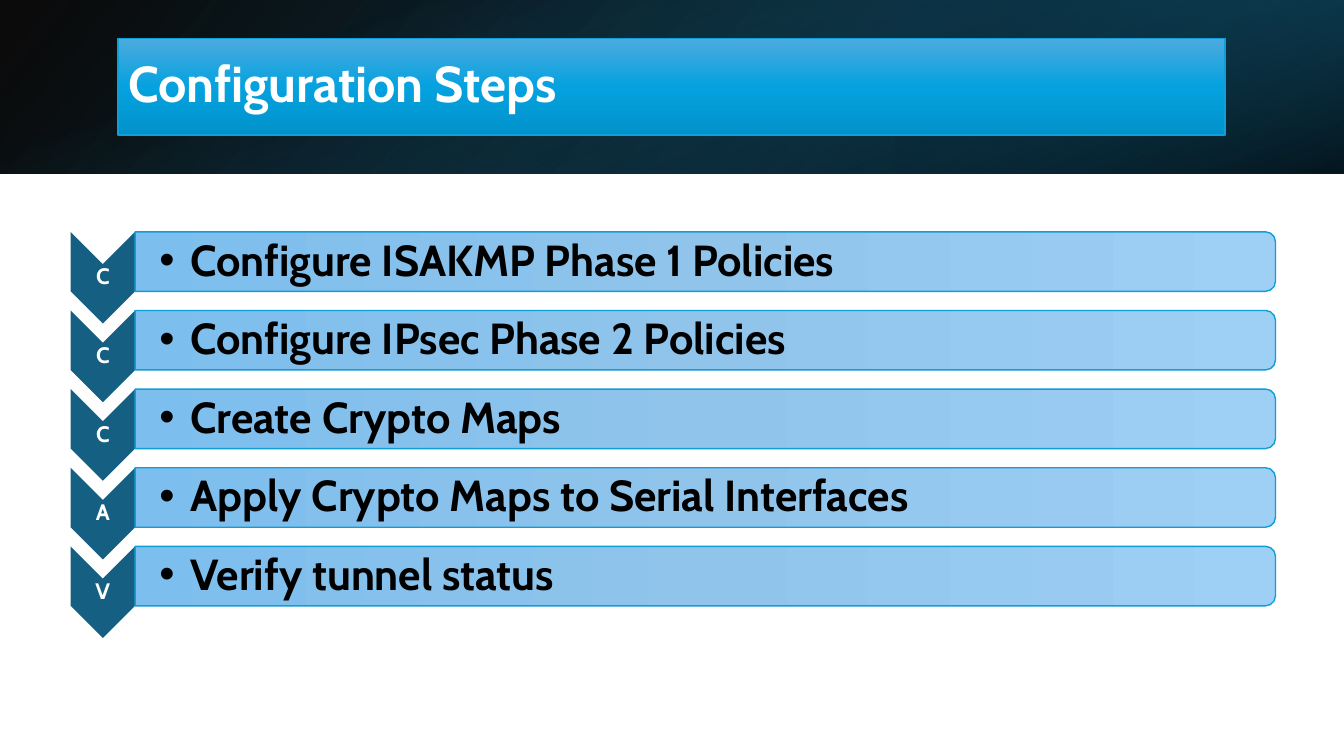
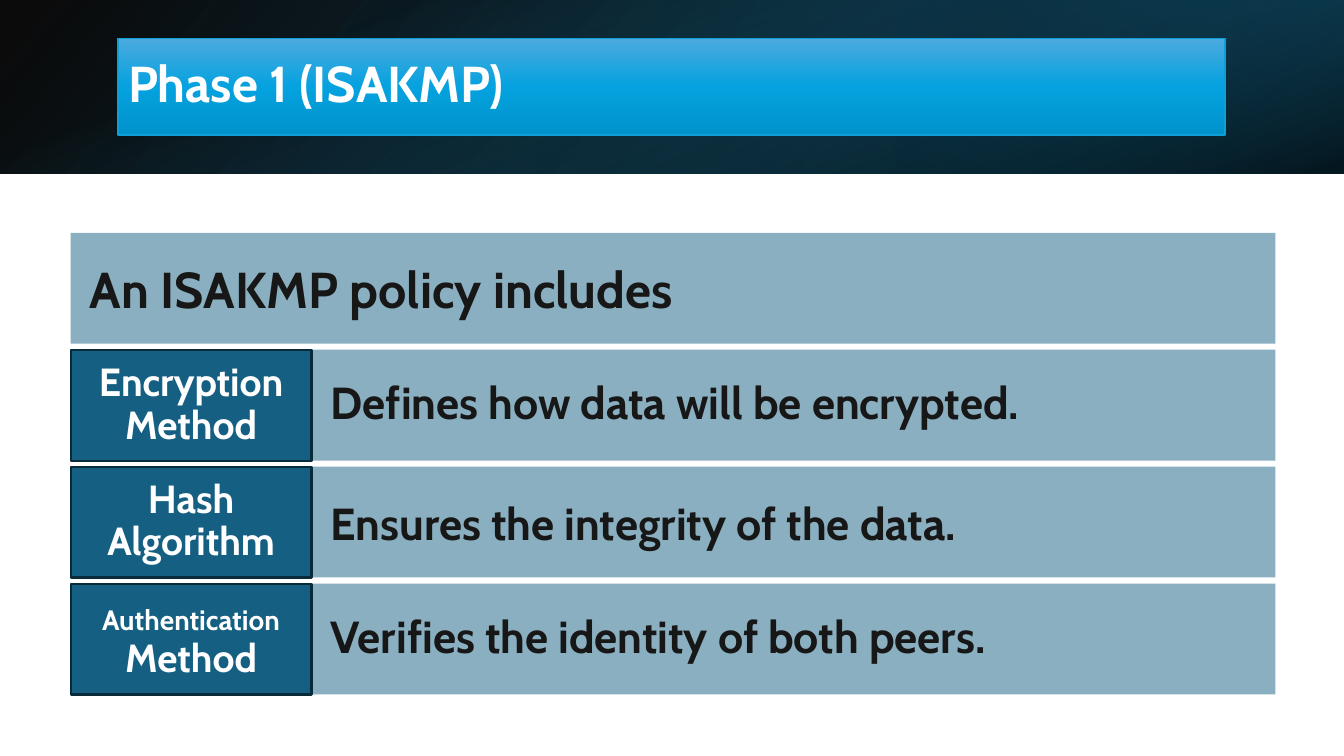
import pptx
import pptx.dml.color
import pptx.enum.shapes
import pptx.enum.text
import pptx.oxml
import pptx.oxml.ns
import pptx.util
from lxml import etree

Inches = pptx.util.Inches
Shapes = pptx.enum.shapes.MSO_SHAPE
Align = pptx.enum.text.PP_ALIGN
qn = pptx.oxml.ns.qn

WIDTH, HEIGHT = 13.33, 7.5
BAND_HEIGHT = 1.72
LEFT, RIGHT = 0.7, 12.65
FONT = "Cabin"
WHITE, BLACK, INK = "FFFFFF", "000000", "171717"
TEAL, TEAL_DARK, BLUE = "156082", "092A39", "0F9ED5"

TITLE_GRADIENT = ([(0, "4CAADF", 100), (50, "05A2DF", 100), (100, "0092CB", 100)], 90)
BAR_GRADIENT = ([(0, "9ECFF5", 100), (50, "90C4EB", 100), (100, "7CBEED", 100)], 90)
BAND_LAYERS = [
    {"box": (0, 0, WIDTH, BAND_HEIGHT), "rotation": 0, "flip": True,
     "gradient": ([(0, BLACK, 96), (100, "104862", 100)], 140)},
    {"box": (WIDTH * 2 / 3, 0, WIDTH / 3, BAND_HEIGHT), "rotation": 180, "flip": True,
     "gradient": ([(19, "0B3041", 68), (100, TEAL, 79)], 320)},
    {"box": (0, 0, WIDTH, BAND_HEIGHT), "rotation": 90, "flip": False,
     "gradient": ([(23, TEAL, 0), (99, BLACK, 74)], 340)},
]

STEPS = [
    ("C", "Configure ISAKMP Phase 1 Policies"),
    ("C", "Configure IPsec Phase 2 Policies"),
    ("C", "Create Crypto Maps"),
    ("A", "Apply Crypto Maps to Serial Interfaces"),
    ("V", "Verify tunnel status"),
]
POLICY_HEADING = "An ISAKMP policy includes"
POLICY_ROWS = [
    ([("Encryption Method", 28)], "Defines how data will be encrypted.", 0.9),
    ([("Hash Algorithm", 28)], "Ensures the integrity of the data.", 1.0),
    ([("Authentication", 20), (" Method", 28)], "Verifies the identity of both peers.", 0.9),
]


def color(value):
    return pptx.dml.color.RGBColor.from_string(value)


def set_alpha(color_element, percent):
    etree.SubElement(color_element, qn("a:alpha")).set("val", str(percent * 1000))


def set_gradient(shape, stops, angle):
    shape.fill.gradient()
    gradient = shape._element.spPr.find(qn("a:gradFill"))
    for child in list(gradient):
        gradient.remove(child)
    stop_list = etree.SubElement(gradient, qn("a:gsLst"))
    for position, value, alpha in stops:
        stop = etree.SubElement(stop_list, qn("a:gs"), pos=str(position * 1000))
        stop_color = etree.SubElement(stop, qn("a:srgbClr"), val=value)
        if alpha < 100:
            set_alpha(stop_color, alpha)
    etree.SubElement(gradient, qn("a:lin"), ang=str(angle * 60000), scaled="0")


def set_line(shape, value=None, width=1):
    if value is None:
        shape.line.fill.background()
    else:
        shape.line.color.rgb = color(value)
        shape.line.width = pptx.util.Pt(width)


def write_text(shape, text, size=36, value=WHITE, align=Align.LEFT, spacing=0.9,
               margins=(0.1, 0.05), bullet_indent=None):
    frame = shape.text_frame
    frame.word_wrap = True
    frame.auto_size = pptx.enum.text.MSO_AUTO_SIZE.NONE
    frame.vertical_anchor = pptx.enum.text.MSO_ANCHOR.MIDDLE
    frame.margin_left, frame.margin_right = Inches(margins[0]), Inches(margins[0])
    frame.margin_top, frame.margin_bottom = Inches(margins[1]), Inches(margins[1])
    paragraph = frame.paragraphs[0]
    paragraph.alignment = align
    paragraph.line_spacing = spacing
    for content, run_size in ([(text, size)] if isinstance(text, str) else text):
        run = paragraph.add_run()
        run.text = content
        run.font.name = FONT
        run.font.size = pptx.util.Pt(run_size)
        run.font.bold = True
        run.font.color.rgb = color(value)
    if bullet_indent:
        properties = paragraph._p.get_or_add_pPr()
        properties.set("marL", str(Inches(bullet_indent)))
        properties.set("indent", str(-Inches(bullet_indent)))
        etree.SubElement(properties, qn("a:buFont"), typeface="Arial")
        etree.SubElement(properties, qn("a:buChar"), char="•")


def add_shape(slide, kind, box, rotation=0, fill=None, alpha=100, gradient=None,
              line=None, line_width=1):
    left, top, width, height = box
    if rotation == 90:
        left, top = left + (width - height) / 2, top + (height - width) / 2
        width, height = height, width
    shape = slide.shapes.add_shape(kind, *map(Inches, (left, top, width, height)))
    shape.rotation = rotation
    shape.shadow.inherit = False
    if gradient:
        set_gradient(shape, *gradient)
    else:
        shape.fill.solid()
        shape.fill.fore_color.rgb = color(fill)
        if alpha < 100:
            set_alpha(shape._element.spPr.find(qn("a:solidFill"))[0], alpha)
    set_line(shape, line, line_width)
    return shape


def add_label(slide, box, text, **text_format):
    write_text(slide.shapes.add_textbox(*map(Inches, box)), text, **text_format)


def add_titled_slide(presentation, text):
    slide = presentation.slides.add_slide(presentation.slide_layouts[5])
    for layer in BAND_LAYERS:
        shape = add_shape(slide, Shapes.RECTANGLE, layer["box"], layer["rotation"],
                          gradient=layer["gradient"])
        if layer["flip"]:
            shape._element.spPr.find(qn("a:xfrm")).set("flipH", "1")
    title = slide.shapes.title
    title.left, title.top, title.width, title.height = map(Inches, (1.17, 0.38, 10.98, 0.96))
    set_gradient(title, *TITLE_GRADIENT)
    set_line(title, BLUE)
    write_text(title, text)
    title._element.getparent().append(title._element)
    return slide


def build_steps(presentation):
    slide = add_titled_slide(presentation, "Configuration Steps")
    first_top, pitch = 2.3, 0.78
    chevron_width, chevron_height, bar_height = 0.64, 0.91, 0.59
    bar_left = LEFT + chevron_width
    bar_width = RIGHT - bar_left
    for index, (letter, step) in enumerate(STEPS):
        top = first_top + index * pitch
        add_shape(slide, Shapes.CHEVRON, (LEFT, top, chevron_width, chevron_height), 90, fill=TEAL)
        add_label(slide, (LEFT, top + 0.32, chevron_width, 0.27), letter, size=16,
                  align=Align.CENTER, margins=(0.01, 0.01))
        add_shape(slide, Shapes.ROUND_2_SAME_RECTANGLE, (bar_left, top, bar_width, bar_height), 90,
                  gradient=BAR_GRADIENT, line=BLUE)
        add_label(slide, (bar_left, top + 0.03, bar_width, 0.54), step, size=31, value=BLACK,
                  margins=(0.24, 0.02), bullet_indent=0.31)


def build_policy(presentation):
    slide = add_titled_slide(presentation, "Phase 1 (ISAKMP)")
    first_top, pitch, row_height = 2.31, 1.16, 1.1
    name_width = (RIGHT - LEFT) / 5
    panel = {"fill": TEAL, "alpha": 50}
    panel_text = {"value": INK, "margins": (0.19, 0.28)}
    heading = add_shape(slide, Shapes.RECTANGLE, (LEFT, first_top, RIGHT - LEFT, row_height), **panel)
    write_text(heading, POLICY_HEADING, spacing=1.0, **panel_text)
    for index, (name, description, spacing) in enumerate(POLICY_ROWS, 1):
        top = first_top + index * pitch
        detail = add_shape(slide, Shapes.RECTANGLE,
                           (LEFT + name_width, top, name_width * 4, row_height), **panel)
        write_text(detail, description, size=32, spacing=spacing, **panel_text)
        name_box = add_shape(slide, Shapes.RECTANGLE, (LEFT, top, name_width, row_height),
                             fill=TEAL, line=TEAL_DARK, line_width=1.5)
        write_text(name_box, name, align=Align.CENTER, margins=(0.13, 0.11))


def main():
    presentation = pptx.Presentation()
    presentation.slide_width, presentation.slide_height = Inches(WIDTH), Inches(HEIGHT)
    build_steps(presentation)
    build_policy(presentation)
    presentation.save("out.pptx")


if __name__ == "__main__":
    main()
